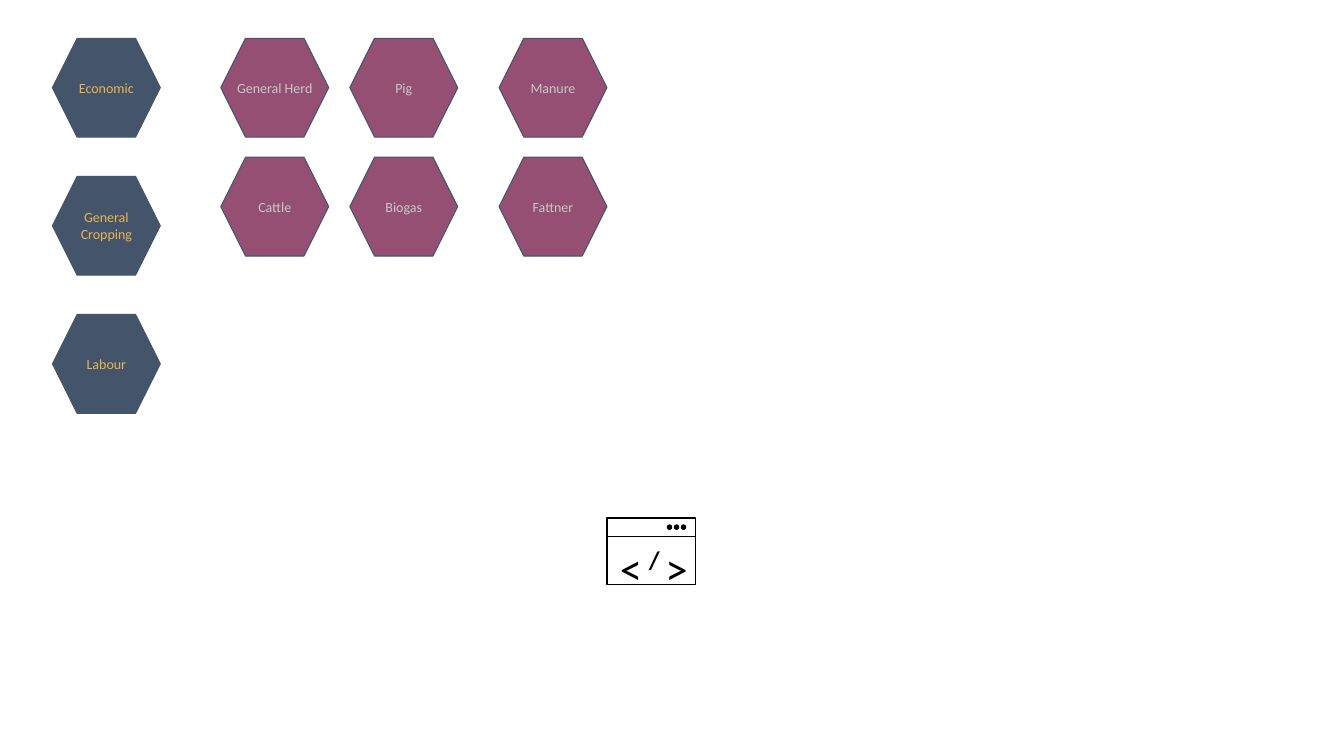
from lxml import etree
from pptx import Presentation
from pptx.dml.color import RGBColor
from pptx.enum.shapes import MSO_CONNECTOR, MSO_SHAPE
from pptx.enum.text import MSO_ANCHOR, PP_ALIGN
from pptx.oxml.ns import qn
from pptx.util import Inches, Pt

RECT, OVAL = MSO_SHAPE.RECTANGLE, MSO_SHAPE.OVAL
STRAIGHT = MSO_CONNECTOR.STRAIGHT
TOP, MIDDLE = MSO_ANCHOR.TOP, MSO_ANCHOR.MIDDLE
CENTER = PP_ALIGN.CENTER

FONT = "Calibri"
COLORS = {"navy": "44546A", "plum": "954F72", "gold": "ECB54E",
          "grey": "C8C8C8", "black": "000000", "white": "FFFFFF"}

# Content: columns of modules as (left, row pitch, fill, text colour, labels)
COLUMNS = [
    (0.52, 1.37, "navy", "gold", ["Economic", "General Cropping", "Labour"]),
    (2.19, 1.18, "plum", "grey", ["General Herd", "Cattle"]),
    (3.47, 1.18, "plum", "grey", ["Pig", "Biogas"]),
    (4.95, 1.18, "plum", "grey", ["Manure", "Fattner"]),
]
# Code icon glyphs: (text, centre x, top, size, bold)
GLYPHS = [("<", 6.26, 5.32, 32, False), ("/", 6.49, 5.35, 18, True),
          (">", 6.71, 5.32, 32, False)]

# Layout in inches
TOP_ROW, HEX_W, HEX_H, HEX_INSET = 0.38, 1.07, 0.98, 0.245
WIN_X, WIN_Y, WIN_W, WIN_H, BAR_H = 6.02, 5.14, 0.88, 0.66, 0.18
DOT_X, DOT_Y, DOT, DOT_PITCH = 6.62, 5.21, 0.04, 0.07
GLYPH_W, GLYPH_H = 0.4, 0.4


def rgb(name):
    return RGBColor.from_string(COLORS[name])


def paint(sp, fill, line, width):
    sp.shadow.inherit = False
    sp.fill.solid()
    sp.fill.fore_color.rgb = rgb(fill)
    sp.line.color.rgb = rgb(line)
    sp.line.width = Pt(width)


def write(sp, text, size, color, anchor, bold=False):
    tf = sp.text_frame
    tf.word_wrap = True
    tf.vertical_anchor = anchor
    p = tf.paragraphs[0]
    p.text = text
    p.alignment = CENTER
    p.font.name, p.font.size, p.font.bold = FONT, Pt(size), bold
    p.font.color.rgb = rgb(color)
    return tf


def add_hexagon(shapes, x, y, text, fill, color):
    right, mid, bottom = x + HEX_W, y + HEX_H / 2, y + HEX_H
    points = [(x + HEX_INSET, y), (right - HEX_INSET, y), (right, mid),
              (right - HEX_INSET, bottom), (x + HEX_INSET, bottom)]
    builder = shapes.build_freeform(Inches(x), Inches(mid))
    builder.add_line_segments([(Inches(a), Inches(b)) for a, b in points])
    sp = builder.convert_to_shape()
    paint(sp, fill, "navy", 0.75)
    write(sp, text, 10, color, MIDDLE)


def add_code_icon(shapes):
    icon = shapes.add_group_shape().shapes

    # Window and title bar
    window = icon.add_shape(RECT, Inches(WIN_X), Inches(WIN_Y),
                            Inches(WIN_W), Inches(WIN_H))
    paint(window, "white", "black", 1)
    bar_y = Inches(WIN_Y + BAR_H)
    bar = icon.add_connector(STRAIGHT, Inches(WIN_X), bar_y,
                             Inches(WIN_X + WIN_W), bar_y)
    bar.line.color.rgb = rgb("black")
    bar.line.width = Pt(1)
    etree.SubElement(bar._element.spPr, qn("a:effectLst"))

    # Window buttons
    for i in range(3):
        dot = icon.add_shape(OVAL, Inches(DOT_X + i * DOT_PITCH), Inches(DOT_Y),
                             Inches(DOT), Inches(DOT))
        paint(dot, "black", "black", 1)

    # Code symbol
    for text, center, top, size, bold in GLYPHS:
        box = icon.add_textbox(Inches(center - GLYPH_W / 2), Inches(top),
                               Inches(GLYPH_W), Inches(GLYPH_H))
        tf = write(box, text, size, "black", TOP, bold)
        tf.margin_left = tf.margin_right = 0


def main():
    prs = Presentation()
    prs.slide_width, prs.slide_height = Inches(13.33), Inches(7.5)
    s = prs.slides.add_slide(prs.slide_layouts[6])

    # Module hexagons
    for x, pitch, fill, color, labels in COLUMNS:
        for row, label in enumerate(labels):
            add_hexagon(s.shapes, x, TOP_ROW + row * pitch, label, fill, color)

    add_code_icon(s.shapes)
    prs.save("out.pptx")


if __name__ == "__main__":
    main()
